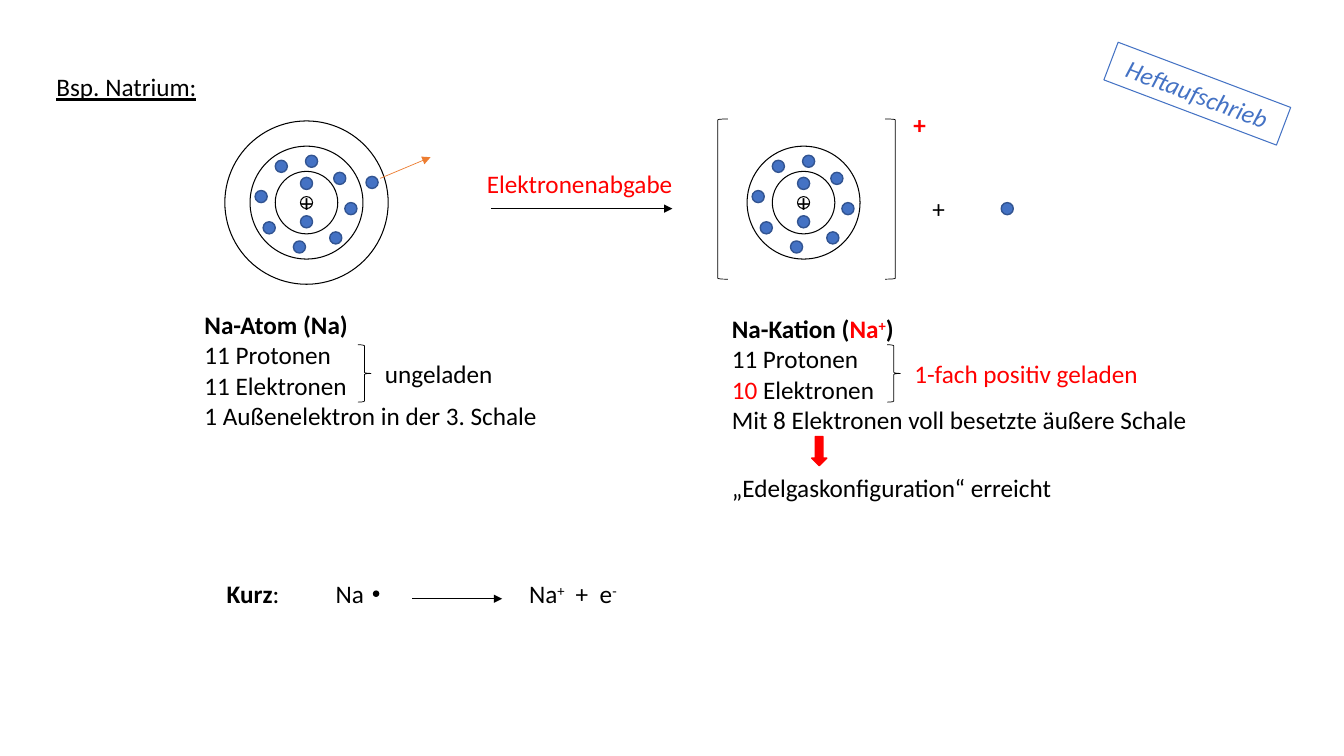
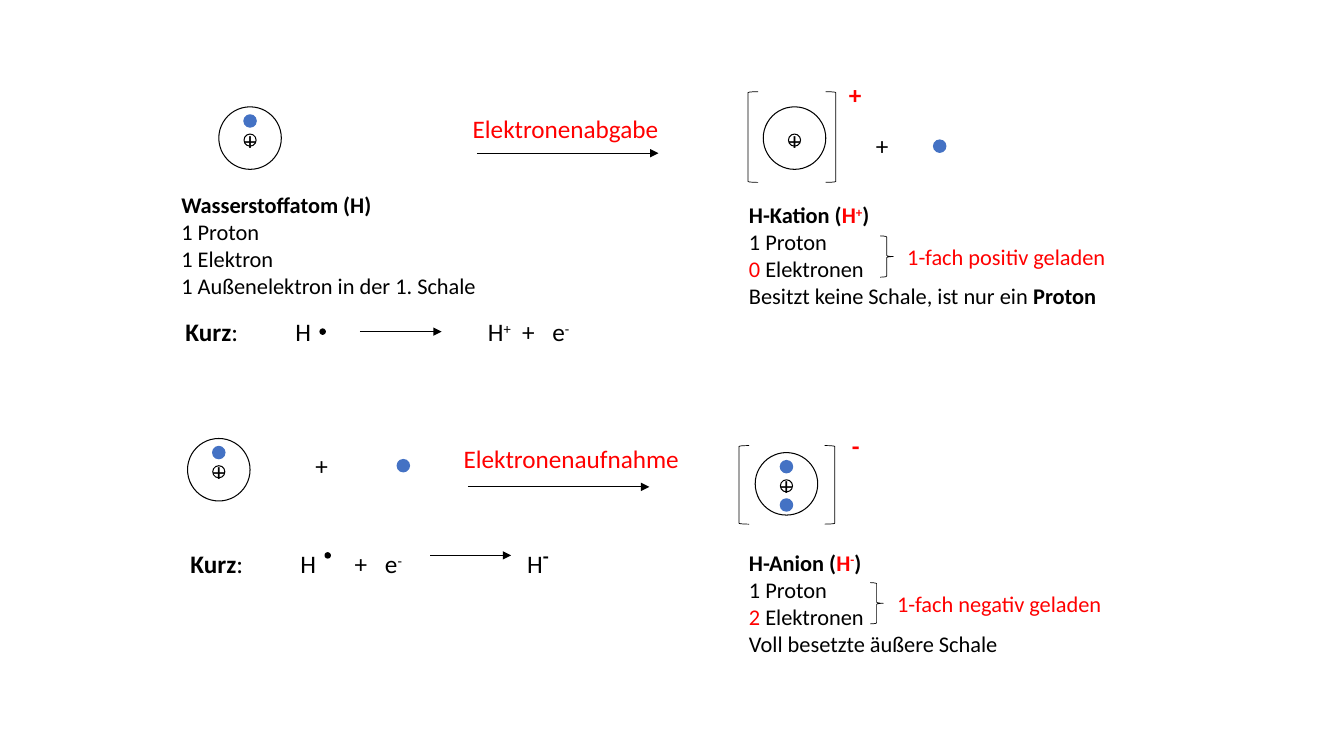
from pptx import Presentation
from pptx.dml.color import RGBColor
from pptx.enum.shapes import MSO_CONNECTOR, MSO_SHAPE
from pptx.enum.text import MSO_ANCHOR, PP_ALIGN
from pptx.oxml.ns import qn
from pptx.util import Inches, Pt
from lxml import etree

BLACK = RGBColor(0x00, 0x00, 0x00)
WHITE = RGBColor(0xFF, 0xFF, 0xFF)
RED = RGBColor(0xFF, 0x00, 0x00)
BLUE = RGBColor(0x44, 0x72, 0xC4)
DARK_BLUE = RGBColor(0x32, 0x54, 0x91)
ORANGE = RGBColor(0xED, 0x7D, 0x31)
FONT = "Calibri"
ELECTRON = 0.12

# Content: a paragraph is a text or a list of (text, flags) runs;
# flags: b bold, r red, ^ superscript, L large
SODIUM_ATOM = [[("Na-Atom (Na)", "b")], "11 Protonen", "11 Elektronen",
               "1 Außenelektron in der 3. Schale"]
SODIUM_CATION = [[("Na-Kation (", "b"), ("Na", "br"), ("+", "br^"), (")", "b")],
                 "11 Protonen", [("10", "r"), (" Elektronen", "")],
                 "Mit 8 Elektronen voll besetzte äußere Schale"]
HYDROGEN_ATOM = [[("Wasserstoffatom (H)", "b")], "1 Proton", "1 Elektron",
                 "1 Außenelektron in der 1. Schale"]
HYDROGEN_CATION = [[("H-Kation (", "b"), ("H", "br"), ("+", "br^"), (")", "b")],
                   "1 Proton", [("0", "r"), (" Elektronen", "")],
                   [("Besitzt keine Schale, ist nur ein ", ""), ("Proton", "b")]]
HYDROGEN_ANION = [[("H-Anion (", "b"), ("H", "br"), ("-", "br^"), (")", "b")],
                  "1 Proton", [("2", "r"), (" Elektronen", "")],
                  "Voll besetzte äußere Schale"]

SODIUM_SHORT = [("Kurz", "b"), (":\tNa\tNa", ""), ("+", "^"), ("\t+\te", ""), ("-", "^")]
CATION_SHORT = [("Kurz", "b"), (":\tH\tH", ""), ("+", "^"), ("\t+\te", ""), ("-", "^")]
ANION_SHORT = [("Kurz", "b"), (":\tH\t+\te", ""), ("-", "^"), ("\tH", ""), ("-", "bL^")]

# Electron places, measured from the nucleus
FIRST_SHELL = [(0, -0.19), (0, 0.19)]
SECOND_SHELL = [(0.33, -0.24), (0.44, 0.06), (0.29, 0.35), (0.05, -0.41),
                (-0.25, -0.36), (-0.45, -0.06), (-0.37, 0.25), (-0.07, 0.44)]
OUTER_ELECTRON = (0.65, -0.2)
SHELL_SIZES = [1.62, 1.12, 0.62]


# Text
def style_run(run, flags):
    if "b" in flags:
        run.font.bold = True
    if "r" in flags:
        run.font.color.rgb = RED
    if "L" in flags:
        run.font.size = Pt(24)
    if "^" in flags:
        run.font._element.set("baseline", "30000")


def write(shape, paragraphs, size=18, color=BLACK, tabs=()):
    frame = shape.text_frame
    frame.word_wrap = True
    for index, content in enumerate(paragraphs):
        paragraph = frame.add_paragraph() if index else frame.paragraphs[0]
        if tabs:
            tab_list = etree.SubElement(paragraph._p.get_or_add_pPr(), qn("a:tabLst"))
            for position in tabs:
                etree.SubElement(tab_list, qn("a:tab"), pos=str(Inches(position)), algn="l")
        font = paragraph.font
        font.name, font.size, font.color.rgb = FONT, Pt(size), color
        for text, flags in [(content, "")] if isinstance(content, str) else content:
            run = paragraph.add_run()
            run.text = text
            style_run(run, flags)


def add_text(slide, left, top, width, paragraphs, size=18, color=BLACK, tabs=()):
    height = 0.1 + len(paragraphs) * size / 60
    box = slide.shapes.add_textbox(*map(Inches, (left, top, width, height)))
    write(box, paragraphs, size, color, tabs)
    return box


# Shapes
def add_figure(slide, kind, left, top, width, height, fill=None, line=BLACK, weight=0.75):
    shape = slide.shapes.add_shape(kind, *map(Inches, (left, top, width, height)))
    shape.shadow.inherit = False
    if fill is None:
        shape.fill.background()
    else:
        shape.fill.solid()
        shape.fill.fore_color.rgb = fill
    shape.line.color.rgb = line
    shape.line.width = Pt(weight)
    return shape


def add_circle(slide, center_x, center_y, size, **style):
    add_figure(slide, MSO_SHAPE.OVAL, center_x - size / 2, center_y - size / 2,
               size, size, **style)


def add_electron(slide, center_x, center_y, line=BLUE):
    add_circle(slide, center_x, center_y, ELECTRON, fill=BLUE, line=line, weight=1)


def add_arrow(slide, x1, y1, x2, y2, color=BLACK):
    arrow = slide.shapes.add_connector(MSO_CONNECTOR.STRAIGHT,
                                       *map(Inches, (x1, y1, x2, y2)))
    arrow.line.color.rgb = color
    arrow.line.width = Pt(0.5)
    etree.SubElement(arrow.line._get_or_add_ln(), qn("a:tailEnd"), type="triangle")
    etree.SubElement(arrow._element.spPr, qn("a:effectLst"))


# Parts of the reactions
def add_atom(slide, center_x, center_y, shells, electrons, line=BLUE, nucleus_drop=0):
    for size in shells:
        add_circle(slide, center_x, center_y, size, fill=WHITE)
    nucleus_y = center_y + nucleus_drop
    add_circle(slide, center_x, nucleus_y, ELECTRON)
    for offset_x, offset_y in electrons:
        add_electron(slide, center_x + offset_x, nucleus_y + offset_y, line)
    add_text(slide, center_x - 0.16, nucleus_y - 0.2, 0.32, ["+"])


def add_hydrogen(slide, center_x, center_y, electrons):
    add_atom(slide, center_x, center_y, SHELL_SIZES[2:], electrons, nucleus_drop=0.02)


def add_ion_brackets(slide, left, right, top, height, sign, sign_left, sign_top):
    width = 0.1
    for kind, x in ((MSO_SHAPE.LEFT_BRACKET, left), (MSO_SHAPE.RIGHT_BRACKET, right - width)):
        add_figure(slide, kind, x, top, width, height, weight=0.5)
    add_text(slide, sign_left, sign_top, 0.54, [[(sign, "b")]], color=RED)


def add_charge(slide, left, top, height, text, size, color=RED):
    add_figure(slide, MSO_SHAPE.RIGHT_BRACE, left, top, 0.13, height, weight=0.5)
    label_height = 0.1 + size / 60
    add_text(slide, left + 0.17, top + (height - label_height) / 2, 2.53, [text], size, color)


def add_reaction(slide, left, arrow_y, text, text_top):
    add_arrow(slide, left, arrow_y, left + 1.8, arrow_y)
    add_text(slide, left - 0.14, text_top, 2.44, [text], color=RED)


def add_short_form(slide, left, top, runs, tabs, dot, arrow):
    add_text(slide, left, top, 4.56, [runs], tabs=tabs)
    add_circle(slide, left + dot, top + 0.2, 0.05, fill=BLACK, weight=1)
    start, end, drop = arrow
    add_arrow(slide, left + start, top + drop, left + end, top + drop)


def build_sodium(presentation):
    slide = presentation.slides.add_slide(presentation.slide_layouts[5])
    title = slide.shapes.title
    title.left, title.top, title.width, title.height = map(Inches, (0.46, 0.66, 2.27, 0.4))
    write(title, ["Bsp. Natrium:"])
    title.text_frame.vertical_anchor = MSO_ANCHOR.TOP
    title.text_frame.paragraphs[0].alignment = PP_ALIGN.LEFT
    title.text_frame.paragraphs[0].font.underline = True

    # Atom, reaction and products
    center_y = 2.01
    core = FIRST_SHELL + SECOND_SHELL
    add_atom(slide, 3.04, center_y, SHELL_SIZES, core + [OUTER_ELECTRON], DARK_BLUE)
    add_arrow(slide, 3.77, 1.77, 4.27, 1.56, ORANGE)
    add_reaction(slide, 4.87, 2.07, "Elektronenabgabe", 1.62)
    add_atom(slide, 7.97, center_y, SHELL_SIZES[1:], core, DARK_BLUE)
    add_ion_brackets(slide, 7.12, 8.88, 1.18, 1.59, "+", 8.96, 1.04)
    add_text(slide, 9.15, 1.87, 0.54, ["+"])
    add_electron(slide, 9.99, 2.07, DARK_BLUE)

    # Descriptions
    add_text(slide, 1.93, 3.02, 4.2, SODIUM_ATOM)
    add_charge(slide, 3.55, 3.42, 0.57, "ungeladen", 18, BLACK)
    add_text(slide, 7.16, 3.06, 5.04, SODIUM_CATION)
    add_charge(slide, 8.8, 3.42, 0.57, "1-fach positiv geladen", 18)
    add_figure(slide, MSO_SHAPE.DOWN_ARROW, 8.05, 4.33, 0.15, 0.29, RED, RED, 1)
    add_text(slide, 7.16, 4.64, 3.88, ["„Edelgaskonfiguration“ erreicht"])
    add_short_form(slide, 2.15, 5.69, SODIUM_SHORT, (1.08, 3, 3.46, 3.7),
                   1.58, (1.94, 2.83, 0.25))

    # Notebook stamp
    stamp = add_figure(slide, MSO_SHAPE.RECTANGLE, 10.96, 0.73, 1.83, 0.4, line=BLUE)
    stamp.rotation = 20.7
    write(stamp, ["Heftaufschrieb"], color=BLUE)
    stamp.text_frame.paragraphs[0].alignment = PP_ALIGN.CENTER
    stamp.text_frame.paragraphs[0].font.italic = True


def build_hydrogen(presentation):
    slide = presentation.slides.add_slide(presentation.slide_layouts[6])

    # Electron loss
    add_hydrogen(slide, 2.48, 1.37, FIRST_SHELL[:1])
    add_reaction(slide, 4.73, 1.52, "Elektronenabgabe", 1.08)
    add_hydrogen(slide, 7.88, 1.37, [])
    add_ion_brackets(slide, 7.42, 8.29, 0.91, 0.9, "+", 8.32, 0.74)
    add_text(slide, 8.59, 1.24, 0.54, ["+"])
    add_electron(slide, 9.32, 1.45)
    add_text(slide, 1.7, 1.85, 4.2, HYDROGEN_ATOM, 16)
    add_text(slide, 7.33, 1.95, 4.48, HYDROGEN_CATION, 16)
    add_charge(slide, 8.73, 2.34, 0.41, "1-fach positiv geladen", 16)
    add_short_form(slide, 1.74, 3.09, CATION_SHORT, (1.09, 3, 3.34, 3.64),
                   1.46, (1.83, 2.64, 0.2))

    # Electron gain
    add_hydrogen(slide, 2.17, 4.66, FIRST_SHELL[:1])
    add_text(slide, 3.03, 4.42, 0.54, ["+"])
    add_electron(slide, 4, 4.62)
    add_reaction(slide, 4.64, 4.83, "Elektronenaufnahme", 4.35)
    add_hydrogen(slide, 7.8, 4.8, FIRST_SHELL)
    add_ion_brackets(slide, 7.33, 8.28, 4.42, 0.78, "-", 8.35, 4.22)
    add_text(slide, 7.33, 5.4, 4.48, HYDROGEN_ANION, 16)
    add_charge(slide, 8.63, 5.78, 0.41, "1-fach negativ geladen", 16)
    add_short_form(slide, 1.79, 5.31, ANION_SHORT, (1.09, 1.63, 1.93, 3.34),
                   1.46, (2.48, 3.28, 0.2))


def main():
    presentation = Presentation()
    presentation.slide_width, presentation.slide_height = Inches(13.33), Inches(7.5)
    build_sodium(presentation)
    build_hydrogen(presentation)
    presentation.save("out.pptx")


if __name__ == "__main__":
    main()
